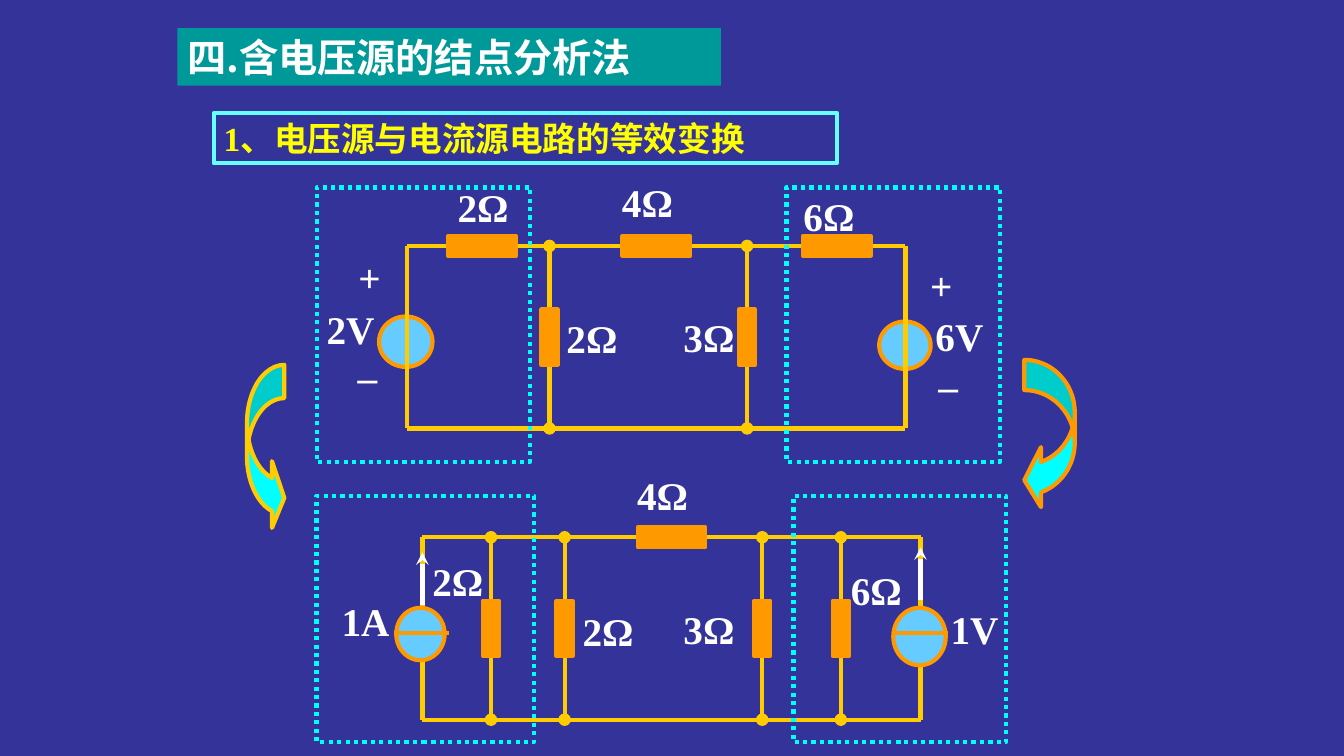
from lxml import etree
from pptx import Presentation
from pptx.dml.color import RGBColor
from pptx.enum import dml, shapes, text
from pptx.oxml.ns import qn
from pptx.util import Inches, Pt

COLORS = {
    "background": "333399", "banner": "009999", "white": "FFFFFF",
    "yellow": "FFFF00", "heading_frame": "66FFFF", "cyan": "00FFFF",
    "wire": "FFCC00", "orange": "FF9900", "source": "66CCFF",
}
LATIN, CJK = "Times New Roman", "Noto Sans CJK SC"
SHAPE = shapes.MSO_SHAPE
CIRCUIT_W, CIRCUIT_H = 4.94, 1.81
SHUNTS = (1.41, 3.37)


def rgb(name):
    return RGBColor.from_string(COLORS[name])


def add_shape(s, kind, box, fill=None, line=None, dash=None):
    sp = s.shapes.add_shape(kind, *map(Inches, box))
    sp.shadow.inherit = False
    if fill:
        sp.fill.solid()
        sp.fill.fore_color.rgb = rgb(fill)
    else:
        sp.fill.background()
    if line:
        sp.line.color.rgb = rgb(line)
        sp.line.width = Pt(3)
        if dash:
            sp.line.dash_style = dash
    else:
        sp.line.fill.background()
    return sp


def write(sp, words, size=28, color="white", font=LATIN, align=text.PP_ALIGN.LEFT):
    tf = sp.text_frame
    tf.word_wrap = True
    tf.vertical_anchor = text.MSO_ANCHOR.MIDDLE
    p = tf.paragraphs[0]
    p.alignment = align
    r = p.add_run()
    r.text = words
    for name, value in {"size": Pt(size), "bold": True, "name": font}.items():
        setattr(r.font, name, value)
    r.font.color.rgb = rgb(color)
    etree.SubElement(r.font._element, qn("a:ea"), typeface=CJK)


def add_label(s, words, x, y, w=0.82, align=text.PP_ALIGN.LEFT):
    sp = s.shapes.add_textbox(*map(Inches, (x, y, w, 0.57)))
    write(sp, words, align=align)


def add_wire(s, start, end, color="wire", head=None, tail=None):
    c = s.shapes.add_connector(shapes.MSO_CONNECTOR.STRAIGHT,
                               *map(Inches, (*start, *end)))
    c.line.color.rgb = rgb(color)
    c.line.width = Pt(3)
    ln = c.line._get_or_add_ln()
    for tag, kind in (("a:headEnd", head), ("a:tailEnd", tail)):
        if kind:
            etree.SubElement(ln, qn(tag), type=kind)
    etree.SubElement(c._element.spPr, qn("a:effectLst"))


def add_resistor(s, x, y, upright=False):
    """Draw a resistor centred on (x, y)."""
    w, h = (0.16, 0.55) if upright else (0.67, 0.2)
    add_shape(s, SHAPE.RECTANGLE, (x - w / 2, y - h / 2, w, h), "orange", "orange")


def add_source(s, *box):
    add_shape(s, SHAPE.OVAL, box, "source", "orange")


def add_shunt(s, x, y):
    """Draw a branch between the rails, with nodes and a resistor."""
    add_wire(s, (x, y), (x, y + CIRCUIT_H), head="oval", tail="oval")
    add_resistor(s, x, y + CIRCUIT_H / 2, upright=True)


def add_circuit(s, x, y):
    """Draw the loop, middle resistor and shunts that both circuits share."""
    right, bottom = x + CIRCUIT_W, y + CIRCUIT_H
    for rail in (y, bottom):
        add_wire(s, (x, rail), (right, rail))
    for side in (x, right):
        add_wire(s, (side, y), (side, bottom))
    for dx in SHUNTS:
        add_shunt(s, x + dx, y)
    add_resistor(s, x + CIRCUIT_W / 2, y)


def add_voltage_circuit(s, x=4.04, y=2.44):
    add_source(s, 3.76, 3.14, 0.53, 0.5)
    add_source(s, 8.72, 3.19, 0.51, 0.47)
    add_circuit(s, x, y)
    for center in (4.78, 8.3):
        add_resistor(s, center, y)
    for label in (("2V", 3.14, 2.98), ("6V", 9.18, 3.05), ("2Ω", 4.44, 1.77),
                  ("4Ω", 6.07, 1.72), ("6Ω", 7.87, 1.86), ("2Ω", 5.52, 3.07),
                  ("3Ω", 6.68, 3.06)):
        add_label(s, *label)
    for sign in (("+", 3.42, 2.46, 0.49), ("_", 3.42, 3.31, 0.45),
                 ("+", 9.09, 2.54, 0.49), ("_", 9.18, 3.4, 0.45)):
        add_label(s, *sign, align=text.PP_ALIGN.CENTER)


def add_current_circuit(s, x=4.19, y=5.33):
    add_circuit(s, x, y)
    for shunt in (4.87, 8.34):
        add_shunt(s, shunt, y)
    add_source(s, 3.93, 6.03, 0.48, 0.52)
    add_source(s, 8.86, 6.03, 0.52, 0.57)
    for bar in (3.91, 8.86):
        add_wire(s, (bar, 6.28), (bar + 0.54, 6.28), "orange")
    for side, base in ((x, 6.0), (x + CIRCUIT_W, 5.95)):
        add_wire(s, (side, base), (side, base - 0.52), "white", tail="stealth")
    for label in (("1A", 3.29, 5.87), ("1V", 9.33, 5.95), ("2Ω", 4.19, 5.48),
                  ("4Ω", 6.22, 4.62), ("6Ω", 8.34, 5.57), ("2Ω", 5.68, 5.97),
                  ("3Ω", 6.68, 5.95)):
        add_label(s, *label)


def add_curved_arrow(s, kind, box, adjustments, line):
    sp = add_shape(s, kind, box, "cyan", line)
    for i, value in enumerate(adjustments):
        sp.adjustments[i] = value


def main():
    prs = Presentation()
    prs.slide_width, prs.slide_height = Inches(13.33), Inches(7.5)
    s = prs.slides.add_slide(prs.slide_layouts[6])
    s.background.fill.solid()
    s.background.fill.fore_color.rgb = rgb("background")

    banner = add_shape(s, SHAPE.RECTANGLE, (1.76, 0.28, 5.39, 0.57), "banner")
    write(banner, "四.含电压源的结点分析法", font=CJK)
    add_voltage_circuit(s)
    add_current_circuit(s)
    heading = add_shape(s, SHAPE.RECTANGLE, (2.12, 1.12, 6.18, 0.5),
                        line="heading_frame")
    write(heading, "1、电压源与电流源电路的等效变换", 24, "yellow")
    for frame in ((3.14, 1.86, 2.12, 2.72), (7.8, 1.86, 2.12, 2.72),
                  (3.14, 4.92, 2.16, 2.44), (7.87, 4.92, 2.11, 2.44)):
        add_shape(s, SHAPE.RECTANGLE, frame, line="cyan",
                  dash=dml.MSO_LINE.ROUND_DOT)
    add_curved_arrow(s, SHAPE.CURVED_LEFT_ARROW, (10.16, 3.57, 0.5, 1.49),
                     (0.6, 1.19, 0.33), "orange")
    add_curved_arrow(s, SHAPE.CURVED_RIGHT_ARROW, (2.45, 3.62, 0.37, 1.65),
                     (0.89, 1.79, 0.33), "wire")
    prs.save("out.pptx")


if __name__ == "__main__":
    main()
